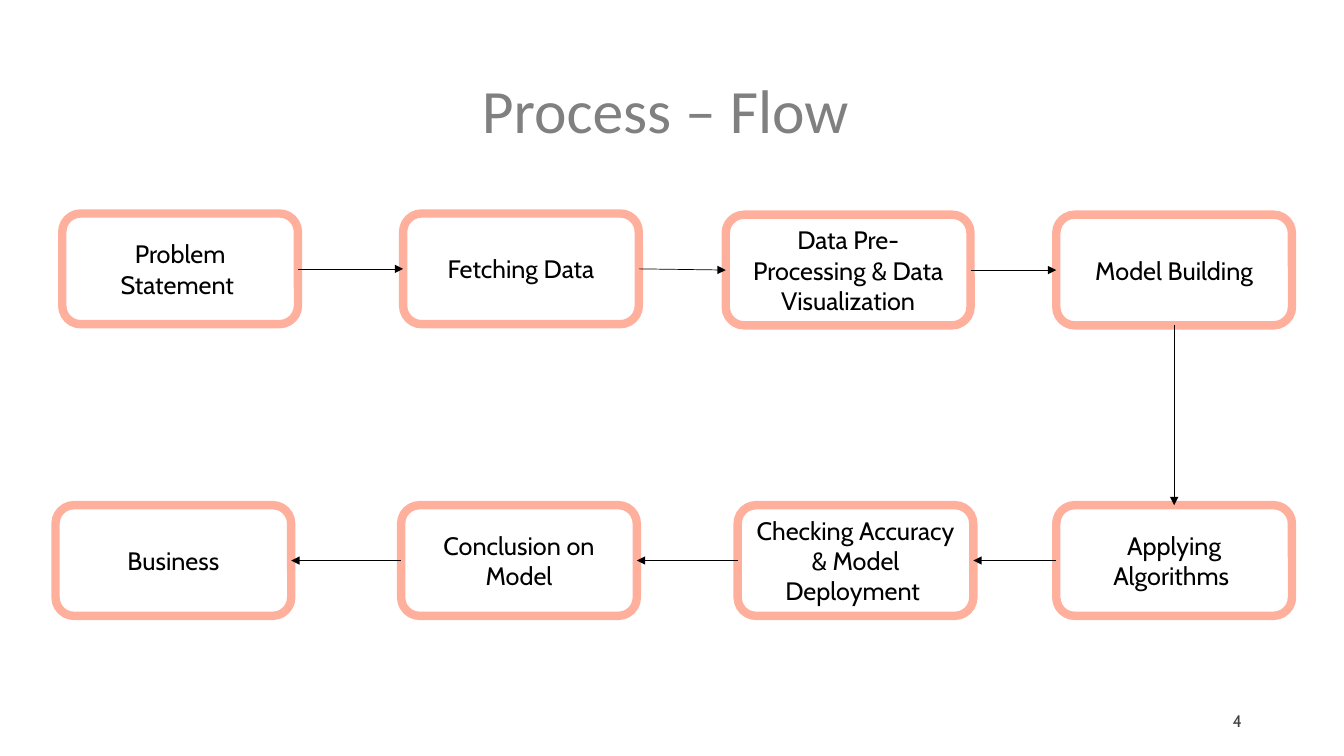
"""Build the process flow slide: eight steps in two rows joined by arrows."""
import dataclasses
import itertools

import lxml.etree
import pptx
import pptx.dml.color
import pptx.enum.shapes
import pptx.enum.text
import pptx.oxml.ns
import pptx.shapes.autoshape
import pptx.slide
import pptx.text.text
import pptx.util

Cm = pptx.util.Cm
Pt = pptx.util.Pt
RGB = pptx.dml.color.RGBColor
Align = pptx.enum.text.PP_ALIGN
TOP, LEFT, BOTTOM, RIGHT = range(4)


@dataclasses.dataclass(frozen=True)
class TextStyle:
    font: str
    size: int
    color: str


@dataclasses.dataclass(frozen=True)
class Theme:
    title: TextStyle = TextStyle("Calibri", 44, "808080")
    step: TextStyle = TextStyle("Cabin", 18, "000000")
    page_number: TextStyle = TextStyle("Cabin", 12, "404040")
    background: str = "FFFFFF"
    step_fill: str = "FFFFFF"
    step_border: str = "FFB09D"
    step_border_width: float = 6
    arrow: str = "000000"
    arrow_width: float = 0.5


@dataclasses.dataclass(frozen=True)
class Step:
    label: str
    left: float
    top: float
    exit_side: int = RIGHT
    entry_side: int = LEFT
    width: float = 5.94
    height: float = 2.79


THEME = Theme()
UPPER, UPPER_RIGHT, LOWER = 5.38, 5.41, 12.73
STEPS = [
    Step("Problem Statement ", 1.57, UPPER),
    Step("Fetching Data", 10.16, UPPER),
    Step("Data Pre-Processing & Data Visualization", 18.29, UPPER_RIGHT, width=6.17),
    Step("Model Building", 26.62, UPPER_RIGHT, exit_side=BOTTOM),
    Step("Applying Algorithms ", 26.62, LOWER, exit_side=LEFT, entry_side=TOP),
    Step("Checking Accuracy & Model Deployment ", 18.59, LOWER, LEFT, RIGHT),
    Step("Conclusion on Model", 10.11, LOWER, LEFT, RIGHT),
    Step("Business", 1.4, LOWER, LEFT, RIGHT),
]


def write(frame: pptx.text.text.TextFrame, text: str, style: TextStyle, align: Align) -> None:
    frame.text = text
    frame.word_wrap = True
    frame.vertical_anchor = pptx.enum.text.MSO_ANCHOR.MIDDLE
    paragraph = frame.paragraphs[0]
    paragraph.alignment = align
    for run in paragraph.runs:
        run.font.name = style.font
        run.font.size = Pt(style.size)
        run.font.color.rgb = RGB.from_string(style.color)


def add_title(slide: pptx.slide.Slide, text: str) -> None:
    title = slide.shapes.title
    title.left, title.top, title.width, title.height = Cm(2.34), Cm(1.02), Cm(29.21), Cm(3.68)
    write(title.text_frame, text, THEME.title, Align.CENTER)
    title.text_frame.paragraphs[0].line_spacing = 0.9


def add_page_number(slide: pptx.slide.Slide, number: int) -> None:
    page_number = slide.shapes.add_textbox(Cm(23.93), Cm(17.65), Cm(7.62), Cm(1.02))
    write(page_number.text_frame, str(number), THEME.page_number, Align.RIGHT)


def add_step(slide: pptx.slide.Slide, step: Step) -> pptx.shapes.autoshape.Shape:
    box = slide.shapes.add_shape(
        pptx.enum.shapes.MSO_SHAPE.ROUNDED_RECTANGLE,
        Cm(step.left), Cm(step.top), Cm(step.width), Cm(step.height),
    )
    box.shadow.inherit = False
    box.fill.solid()
    box.fill.fore_color.rgb = RGB.from_string(THEME.step_fill)
    box.line.color.rgb = RGB.from_string(THEME.step_border)
    box.line.width = Pt(THEME.step_border_width)
    write(box.text_frame, step.label, THEME.step, Align.CENTER)
    return box


def add_arrow(
    slide: pptx.slide.Slide,
    source: pptx.shapes.autoshape.Shape,
    exit_side: int,
    target: pptx.shapes.autoshape.Shape,
    entry_side: int,
) -> None:
    arrow = slide.shapes.add_connector(pptx.enum.shapes.MSO_CONNECTOR.STRAIGHT, 0, 0, 0, 0)
    arrow.begin_connect(source, exit_side)
    arrow.end_connect(target, entry_side)
    arrow.line.color.rgb = RGB.from_string(THEME.arrow)
    arrow.line.width = Pt(THEME.arrow_width)
    qn = pptx.oxml.ns.qn
    properties = arrow.line._get_or_add_ln()
    lxml.etree.SubElement(properties, qn("a:tailEnd"), type="triangle")
    lxml.etree.SubElement(properties.getparent(), qn("a:effectLst"))


def main() -> None:
    deck = pptx.Presentation()
    deck.slide_width, deck.slide_height = Cm(33.87), Cm(19.05)
    slide = deck.slides.add_slide(deck.slide_layouts.get_by_name("Title Only"))
    slide.background.fill.solid()
    slide.background.fill.fore_color.rgb = RGB.from_string(THEME.background)
    add_title(slide, "Process – Flow ")
    add_page_number(slide, 4)
    boxes = [add_step(slide, step) for step in STEPS]
    for (step, box), (next_step, next_box) in itertools.pairwise(zip(STEPS, boxes)):
        add_arrow(slide, box, step.exit_side, next_box, next_step.entry_side)
    deck.save("out.pptx")


if __name__ == "__main__":
    main()
